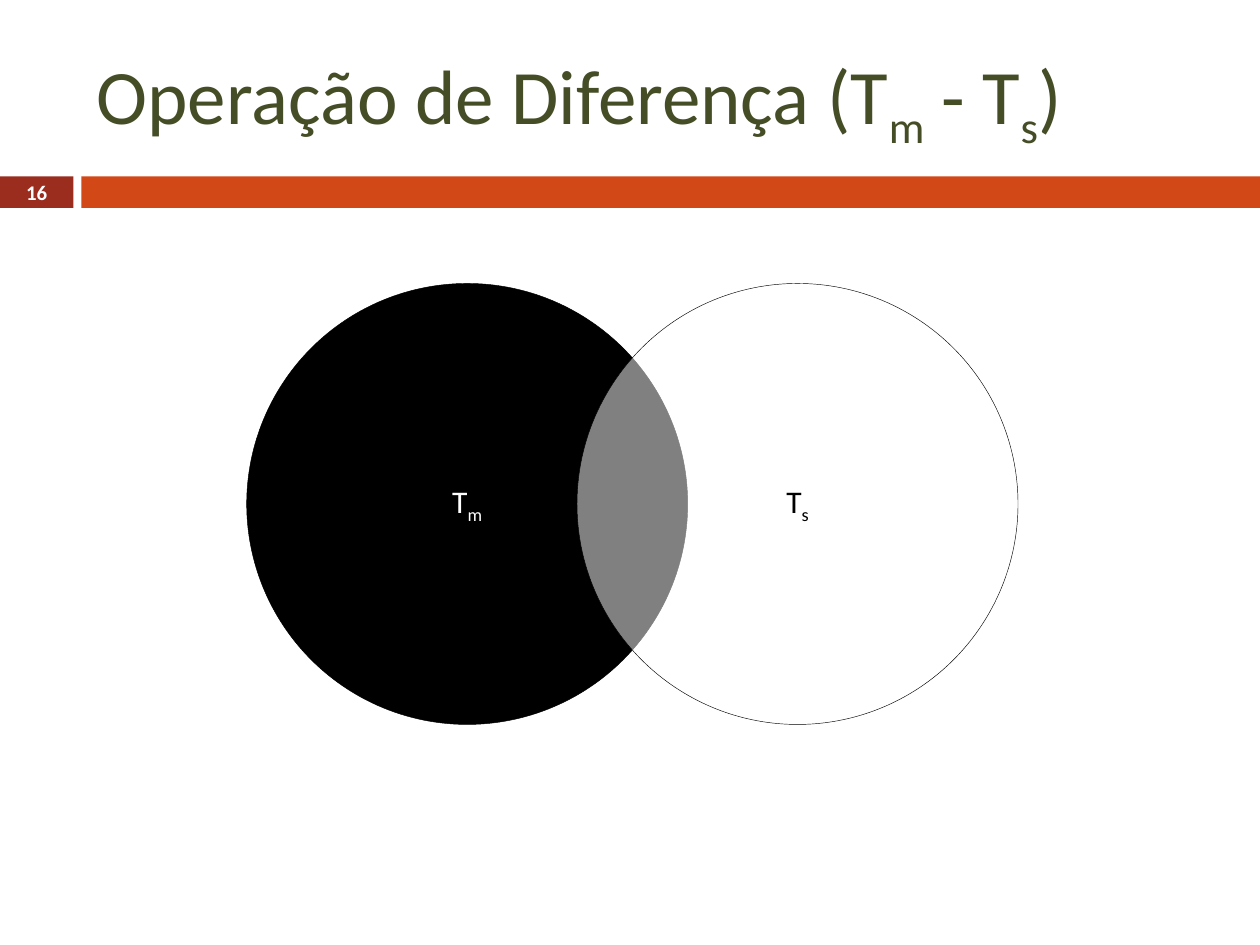
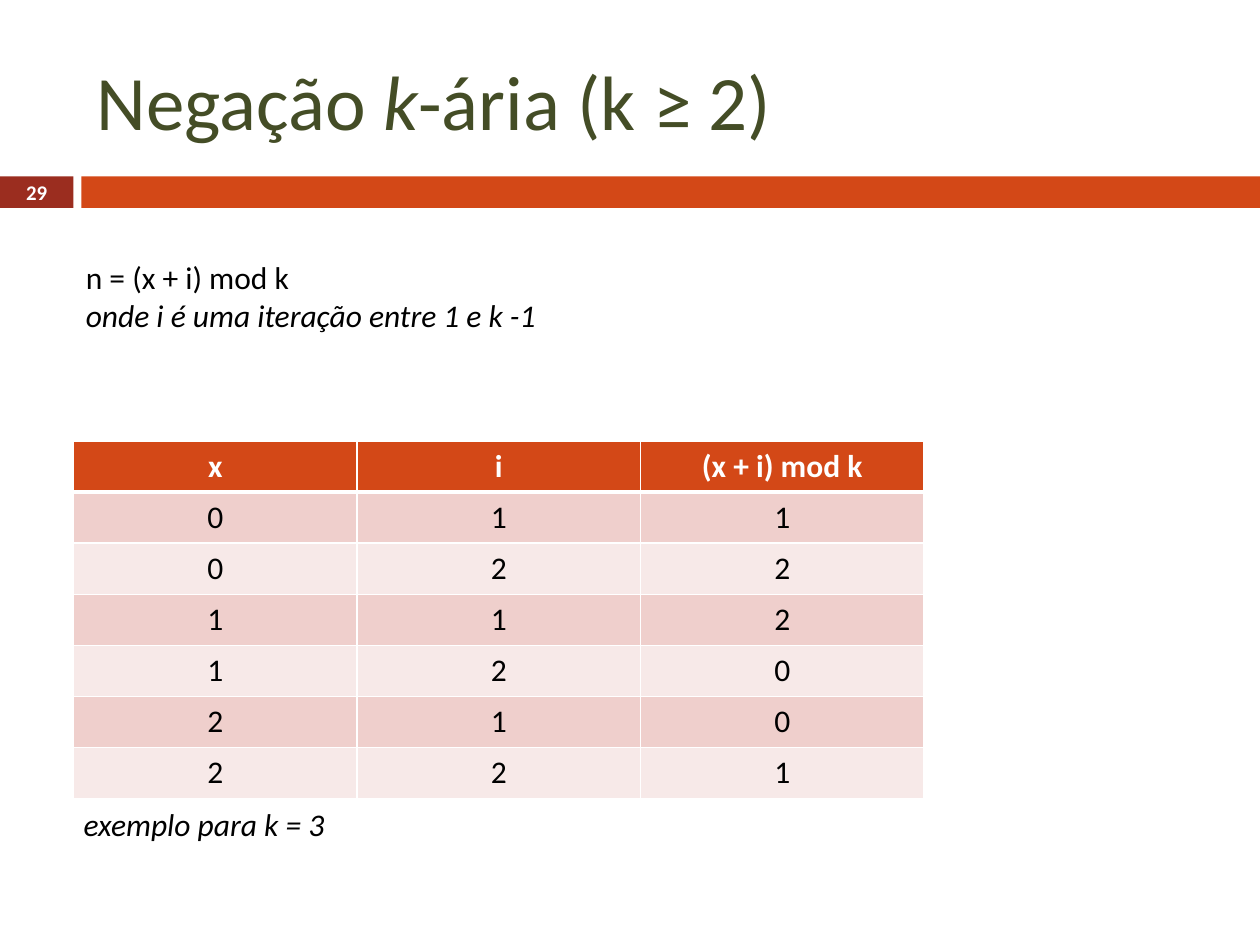
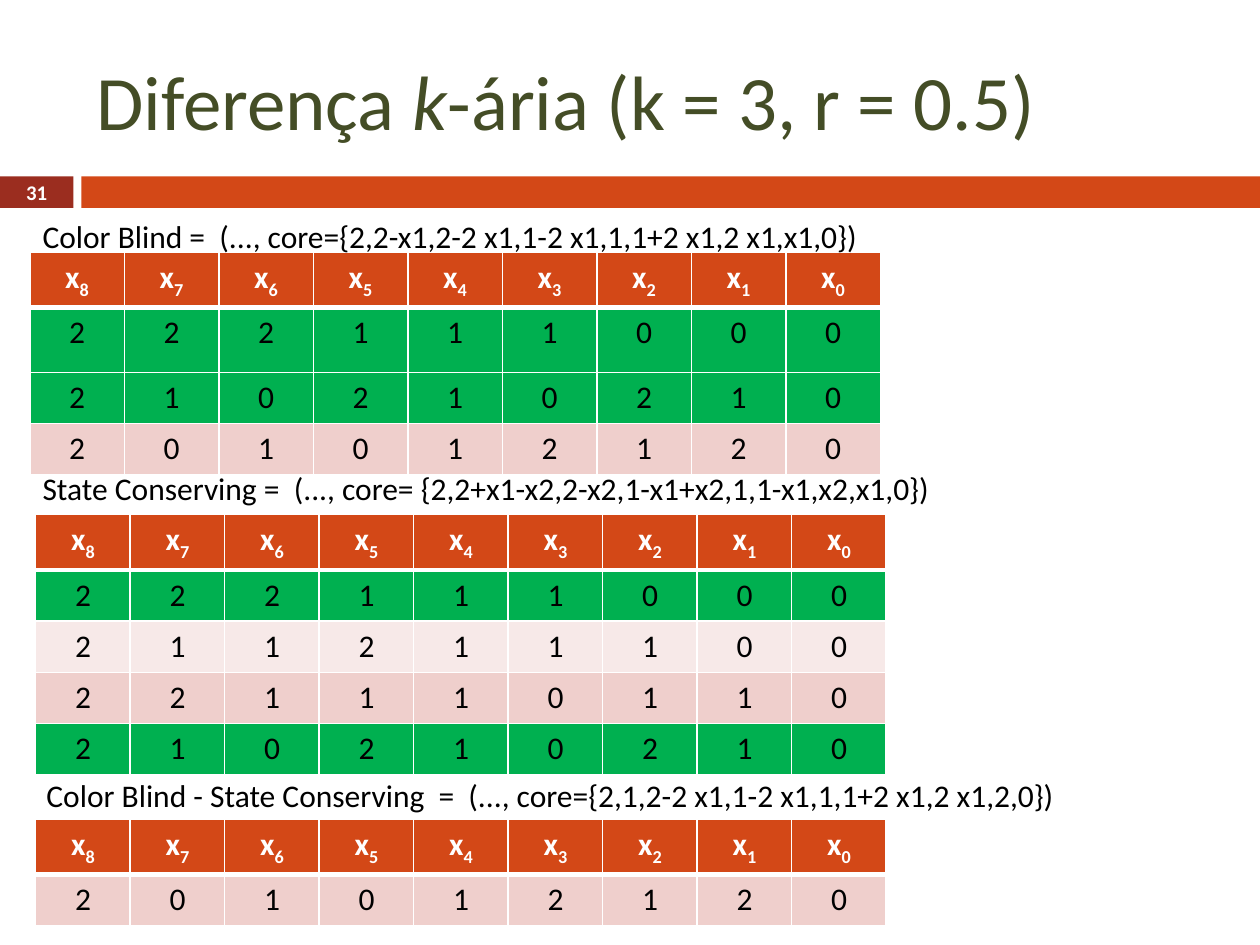
from dataclasses import dataclass

from lxml import etree
from pptx import Presentation
from pptx.dml.color import RGBColor
from pptx.enum import shapes, text
from pptx.oxml import ns
from pptx.util import Pt


@dataclass(frozen=True)
class Theme:
    font: str = "Calibri"
    title: str = "444D26"
    number_band: str = "9B2D1F"
    accent: str = "D34817"
    dark: str = "000000"
    light: str = "FFFFFF"
    odd_row: str = "EFCFCC"
    even_row: str = "F7E9E8"
    matched_row: str = "00B050"
    title_size: float = 44
    body_size: float = 18
    number_size: float = 11.9


T = Theme()
SUB, ITALIC = "sub", "italic"

DIFFERENCE = {
    "number": 16,
    "title": ["Operação de Diferença (T", ("m", SUB), " - T", ("s", SUB), ")"],
    "circles": [
        (141, ["T", ("m", SUB)], T.dark, T.light, 100),
        (329.75, ["T", ("s", SUB)], T.light, T.dark, 50),
    ],
}
NEGATION = {
    "number": 29,
    "title": ["Negação ", ("k", ITALIC), "-ária (k ≥ 2)"],
    "formula": [["n = (x + i) mod k"],
                [("onde i é uma iteração entre 1 e k -1", ITALIC)]],
    "header": [["x"], ["i"], ["(x + i) mod k"]],
    "rows": ["011", "022", "112", "120", "210", "221"],
    "example": [[("exemplo para k = 3", ITALIC)]],
}
K_DIFFERENCE = {
    "number": 31,
    "title": ["Diferença ", ("k", ITALIC), "-ária (k = 3, r = 0.5)"],
    "header": [["x", (str(i), SUB)] for i in range(8, -1, -1)],
    "matched": {"222111000", "210210210"},
    "templates": [
        ("Color Blind =  (..., core={2,2-x1,2-2 x1,1-2 x1,1,1+2 x1,2 x1,x1,0})",
         (17.25, 120.25, 515.5), (17, 144),
         ["222111000", "210210210", "201012120"], {1: 37}),
        ("State Conserving =  (..., core= {2,2+x1-x2,2-x2,1-x1+x2,1,1-x1,x2,x1,0})",
         (17.25, 264.25, 560), (20.4, 294),
         ["222111000", "211211100", "221110110", "210210210"], {}),
        ("Color Blind - State Conserving  =  "
         "(..., core={2,1,2-2 x1,1-2 x1,1,1+2 x1,2 x1,2,0})",
         (19.5, 440, 625.5), (20.4, 468), ["201012120"], {}),
    ],
}

SLIDE_W, SLIDE_H = 720, 540
BAND_TOP, BAND_H = 100.8, 18
NUMBER_W, BAND_LEFT = 42, 46.5
CIRCLE_TOP, CIRCLE_SIZE = 162, 252
TABLE_W, ROW_H = 486, 29.2


def rgb(value):
    return RGBColor.from_string(value)


def box(*lengths):
    return [Pt(v) for v in lengths]


def write(tf, paragraphs, size=T.body_size, color=T.dark, bold=False,
          align=text.PP_ALIGN.LEFT):
    for i, runs in enumerate(paragraphs):
        p = tf.paragraphs[0] if i == 0 else tf.add_paragraph()
        p.alignment = align
        for run in runs:
            words, style = (run, None) if isinstance(run, str) else run
            r = p.add_run()
            r.text = words
            r.font.name, r.font.size, r.font.bold = T.font, Pt(size), bold
            r.font.color.rgb = rgb(color)
            if style == ITALIC:
                r.font.italic = True
            elif style == SUB:
                r._r.get_or_add_rPr().set("baseline", "-25000")


def add_filled(s, kind, place, fill, line=None):
    sp = s.shapes.add_shape(kind, *box(*place))
    sp.shadow.inherit = False
    sp.fill.solid()
    sp.fill.fore_color.rgb = rgb(fill)
    if line:
        sp.line.color.rgb = rgb(line)
        sp.line.width = Pt(0.25)
    else:
        sp.line.fill.background()
    return sp


def add_text(s, place, paragraphs, wrap=True, anchor=text.MSO_ANCHOR.TOP, **fmt):
    tf = s.shapes.add_textbox(*box(*place)).text_frame
    tf.word_wrap = wrap
    tf.vertical_anchor = anchor
    if not wrap:
        tf.auto_size = text.MSO_AUTO_SIZE.SHAPE_TO_FIT_TEXT
    write(tf, paragraphs, **fmt)


def add_slide(prs, content):
    s = prs.slides.add_slide(prs.slide_layouts[5])
    rect = shapes.MSO_SHAPE.RECTANGLE
    add_filled(s, rect, (0, BAND_TOP, NUMBER_W, BAND_H), T.number_band)
    add_filled(s, rect, (BAND_LEFT, BAND_TOP, SLIDE_W - BAND_LEFT, BAND_H), T.accent)
    title = s.shapes.title
    title.left, title.top, title.width, title.height = box(48, 18, 642, 78)
    tf = title.text_frame
    tf.auto_size = text.MSO_AUTO_SIZE.NONE
    tf.vertical_anchor = text.MSO_ANCHOR.MIDDLE
    write(tf, [content["title"]], size=T.title_size, color=T.title)
    add_text(s, (0, 100, NUMBER_W, 19.5), [[str(content["number"])]],
             anchor=text.MSO_ANCHOR.MIDDLE, size=T.number_size, color=T.light,
             bold=True, align=text.PP_ALIGN.CENTER)
    return s


def add_borders(cell, widths):
    tc_pr = cell._tc.get_or_add_tcPr()
    for side, width in widths.items():
        ln = etree.SubElement(tc_pr, ns.qn(f"a:ln{side}"), w=str(Pt(width)))
        fill = etree.SubElement(ln, ns.qn("a:solidFill"))
        etree.SubElement(fill, ns.qn("a:srgbClr"), val=T.light)


def add_grid(s, left, top, header, rows, matched=(), heights={}):
    lines = [header] + [[[value] for value in row] for row in rows]
    row_heights = [heights.get(i, ROW_H) for i in range(len(lines))]
    table = s.shapes.add_table(len(lines), len(header),
                               *box(left, top, TABLE_W, sum(row_heights))).table
    for column in table.columns:
        column.width = Pt(TABLE_W / len(header))
    for i, line in enumerate(lines):
        table.rows[i].height = Pt(row_heights[i])
        if i == 0:
            fill, color, borders = T.accent, T.light, {"L": 1, "R": 1, "T": 1, "B": 3}
        else:
            fill = T.odd_row if i % 2 else T.even_row
            if rows[i - 1] in matched:
                fill = T.matched_row
            color, borders = T.dark, {"L": 1, "R": 1, "B": 1}
        for j, runs in enumerate(line):
            cell = table.cell(i, j)
            add_borders(cell, borders)
            cell.fill.solid()
            cell.fill.fore_color.rgb = rgb(fill)
            write(cell.text_frame, [runs], color=color, bold=i == 0,
                  align=text.PP_ALIGN.CENTER)


def build_difference(prs):
    s = add_slide(prs, DIFFERENCE)
    for left, label, fill, color, opacity in DIFFERENCE["circles"]:
        sp = add_filled(s, shapes.MSO_SHAPE.OVAL,
                        (left, CIRCLE_TOP, CIRCLE_SIZE, CIRCLE_SIZE), fill, T.dark)
        if opacity < 100:
            clr = sp._element.spPr.find(ns.qn("a:solidFill"))[0]
            etree.SubElement(clr, ns.qn("a:alpha"), val=str(opacity * 1000))
        sp.text_frame.vertical_anchor = text.MSO_ANCHOR.MIDDLE
        write(sp.text_frame, [label], color=color, align=text.PP_ALIGN.CENTER)


def build_negation(prs):
    s = add_slide(prs, NEGATION)
    add_text(s, (42, 144, 360, 116.5), NEGATION["formula"])
    add_grid(s, 42, 252, NEGATION["header"], NEGATION["rows"])
    add_text(s, (40.75, 456.5, 360, 94.5), NEGATION["example"])


def build_k_difference(prs):
    s = add_slide(prs, K_DIFFERENCE)
    for caption, (x, y, w), corner, rows, heights in K_DIFFERENCE["templates"]:
        add_grid(s, *corner, K_DIFFERENCE["header"], rows,
                 K_DIFFERENCE["matched"], heights)
        add_text(s, (x, y, w, 29), [[caption]], wrap=False)


def main():
    prs = Presentation()
    prs.slide_width, prs.slide_height = box(SLIDE_W, SLIDE_H)
    build_difference(prs)
    build_negation(prs)
    build_k_difference(prs)
    prs.save("out.pptx")


if __name__ == "__main__":
    main()
